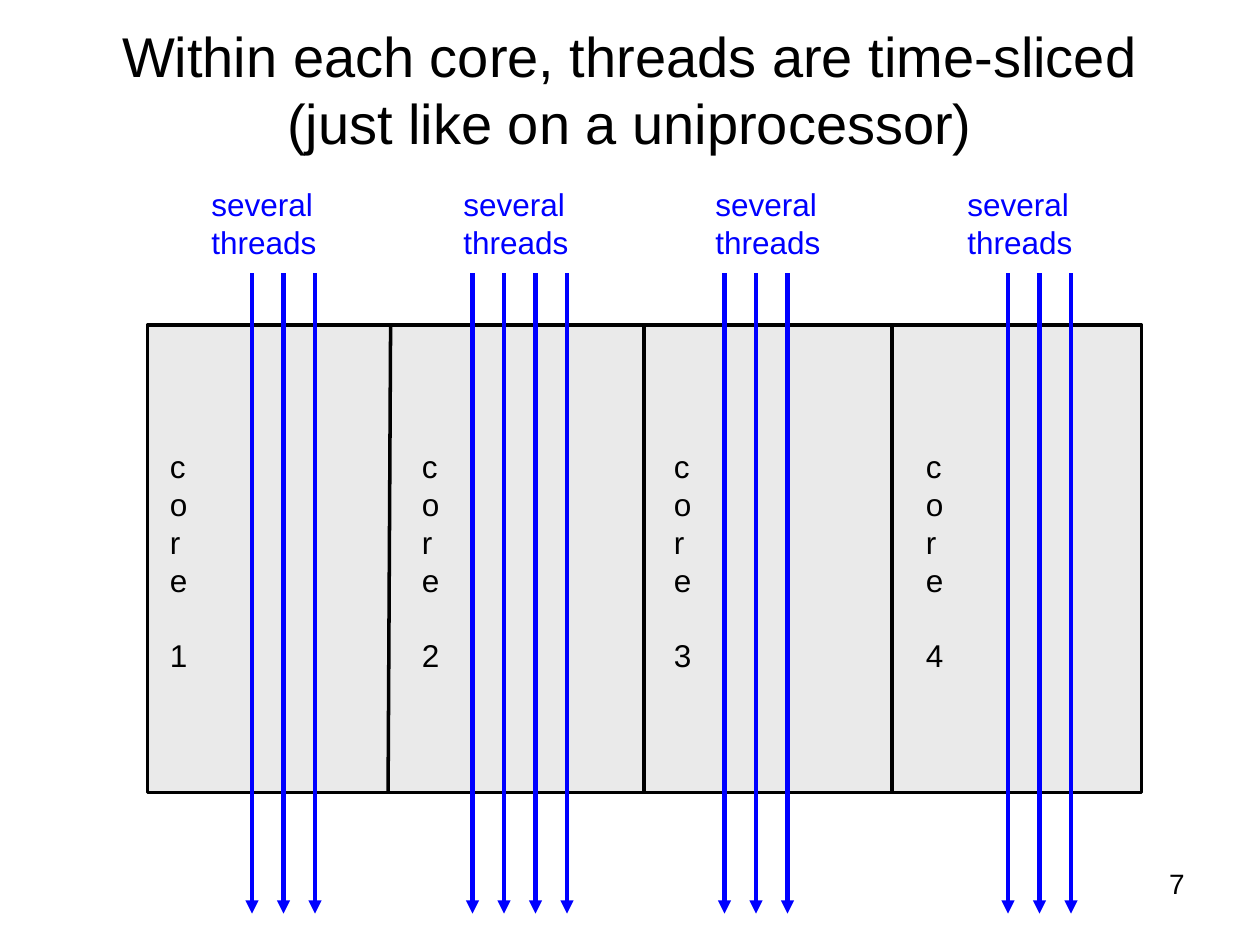
from dataclasses import dataclass

from lxml import etree
from pptx import Presentation, util as u
from pptx.dml import color
from pptx.enum import shapes, text
from pptx.oxml import ns

BLACK, BLUE, GREY = "000000", "0000FF", "EAEAEA"
CORE_PITCH = 2
THREAD_PITCH = 0.25
CHIP_LEFT, CHIP_TOP, CHIP_WIDTH, CHIP_HEIGHT = 1.17, 2.58, 7.89, 3.71
CHIP_BOTTOM = CHIP_TOP + CHIP_HEIGHT
THREAD_TOP, THREAD_BOTTOM = 2.17, 7.25


@dataclass
class Core:
    number: int
    first_thread: float
    threads: int = 3


@dataclass
class Divider:
    top_x: float
    bottom_x: float


CORES = [Core(1, 2), Core(2, 3.75, 4), Core(3, 5.75), Core(4, 8)]
DIVIDERS = [Divider(3.1, 3.08), Divider(5.11, 5.11), Divider(7.08, 7.08)]


def rgb(value: str) -> color.RGBColor:
    return color.RGBColor.from_string(value)


def apply(target, values: dict) -> None:
    for name, value in values.items():
        setattr(target, name, value)


def write(shape, lines: list[str], size: float, ink: str = BLACK,
          frame_format: dict | None = None, paragraph_format: dict | None = None) -> None:
    frame = shape.text_frame
    frame.text = "\n".join(lines)
    apply(frame, {"word_wrap": True, **(frame_format or {})})
    for paragraph in frame.paragraphs:
        apply(paragraph, paragraph_format or {})
        apply(paragraph.font, {"size": u.Pt(size), "name": "Arial"})
        paragraph.font.color.rgb = rgb(ink)


def add_text(slide, box: tuple, *args, **formats):
    shape = slide.shapes.add_textbox(*map(u.Inches, box))
    write(shape, *args, **formats)
    return shape


def add_line(slide, start: tuple, end: tuple, ink: str, width: float, arrow: bool = False) -> None:
    line = slide.shapes.add_connector(
        shapes.MSO_CONNECTOR.STRAIGHT, *map(u.Inches, (*start, *end)))
    line.line.color.rgb = rgb(ink)
    line.line.width = u.Pt(width)
    if arrow:
        etree.SubElement(line.line._get_or_add_ln(), ns.qn("a:tailEnd"), type="triangle")
    etree.SubElement(line._element.spPr, ns.qn("a:effectLst"))


def add_chip(slide) -> None:
    chip = slide.shapes.add_shape(
        shapes.MSO_SHAPE.RECTANGLE,
        *map(u.Inches, (CHIP_LEFT, CHIP_TOP, CHIP_WIDTH, CHIP_HEIGHT)))
    chip.shadow.inherit = False
    chip.fill.solid()
    chip.fill.fore_color.rgb = rgb(GREY)
    chip.line.color.rgb = rgb(BLACK)
    chip.line.width = u.Pt(2)
    for divider in DIVIDERS:
        add_line(slide, (divider.top_x, CHIP_TOP), (divider.bottom_x, CHIP_BOTTOM), BLACK, 2)


def add_core(slide, core: Core) -> None:
    offset = (core.number - 1) * CORE_PITCH
    grow = {"auto_size": text.MSO_AUTO_SIZE.SHAPE_TO_FIT_TEXT}
    label = add_text(slide, (1.25 + offset, 3.5, 0.36, 1.9),
                     ["core", str(core.number)], 18, frame_format=grow)
    label.text_frame.paragraphs[-1].space_before = u.Pt(21.6)
    add_text(slide, (1.58 + offset, 1.42, 1.08, 0.7), ["several\vthreads"], 18, BLUE,
             frame_format={**grow, "word_wrap": False})
    for index in range(core.threads):
        x = core.first_thread + index * THREAD_PITCH
        add_line(slide, (x, THREAD_TOP), (x, THREAD_BOTTOM), BLUE, 2.5, arrow=True)


def main() -> None:
    presentation = Presentation()
    apply(presentation, {"slide_width": u.Inches(10), "slide_height": u.Inches(7.5)})
    slide = presentation.slides.add_slide(presentation.slide_layouts.get_by_name("Title Only"))
    title = slide.shapes.title
    apply(title, {"left": u.Inches(0.5), "top": u.Inches(0.08),
                  "width": u.Inches(9), "height": u.Inches(1.25)})
    write(title, ["Within each core, threads are time-sliced (just like on a uniprocessor)"], 32,
          frame_format={"vertical_anchor": text.MSO_ANCHOR.MIDDLE,
                        "auto_size": text.MSO_AUTO_SIZE.NONE},
          paragraph_format={"alignment": text.PP_ALIGN.CENTER})
    add_text(slide, (7.17, 6.83, 2.33, 0.52), ["7"], 16,
             paragraph_format={"alignment": text.PP_ALIGN.RIGHT})
    add_chip(slide)
    for core in CORES:
        add_core(slide, core)
    presentation.save("out.pptx")


main()
